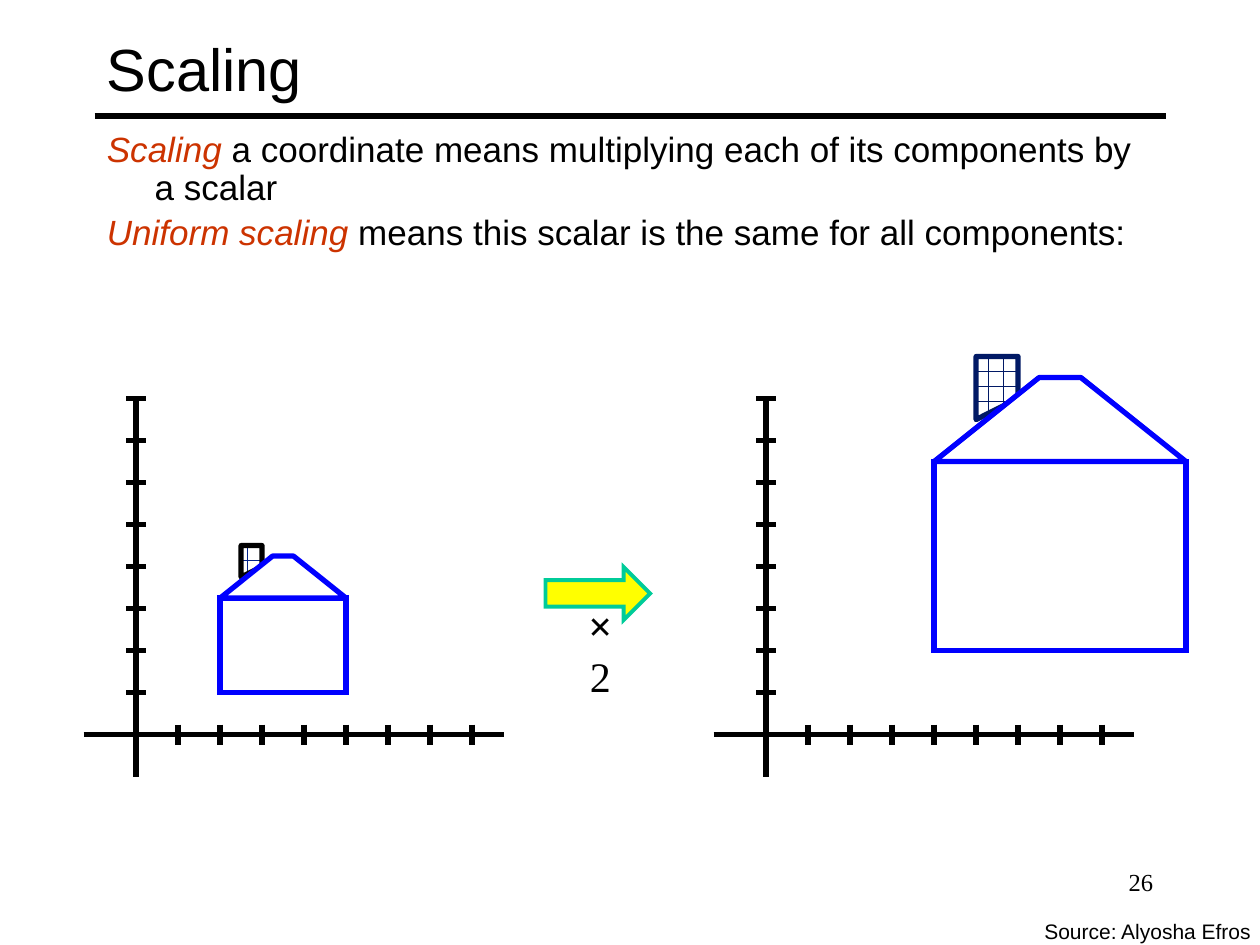
from lxml import etree
from pptx import Presentation
from pptx.dml.color import RGBColor
from pptx.enum import dml, shapes, text
from pptx.oxml.ns import qn
from pptx.util import Inches, Pt

BLACK = RGBColor(0x00, 0x00, 0x00)
WHITE = RGBColor(0xFF, 0xFF, 0xFF)
RED = RGBColor(0xCC, 0x33, 0x00)
BLUE = RGBColor(0x00, 0x00, 0xFF)
BRICK = RGBColor(0x03, 0x23, 0x89)
NAVY = RGBColor(0x01, 0x19, 0x65)
YELLOW = RGBColor(0xFF, 0xFF, 0x00)
GREEN = RGBColor(0x00, 0xCC, 0x99)

prs = Presentation()
prs.slide_width, prs.slide_height = Inches(10), Inches(7.5)
s = prs.slides.add_slide(prs.slide_layouts[6])


def add_line(x1, y1, x2, y2):
    c = s.shapes.add_connector(shapes.MSO_CONNECTOR.STRAIGHT, *map(Inches, (x1, y1, x2, y2)))
    c.line.color.rgb = BLACK
    c.line.width = Pt(3)
    etree.SubElement(c._element.spPr, qn("a:effectLst"))


def add_text(box, paragraphs, font, size, anchor=text.MSO_ANCHOR.TOP, align=text.PP_ALIGN.LEFT):
    tf = s.shapes.add_textbox(*map(Inches, box)).text_frame
    tf.word_wrap = True
    tf.vertical_anchor = anchor
    for i, runs in enumerate(paragraphs):
        p = tf.add_paragraph() if i else tf.paragraphs[0]
        for words in runs:
            p.add_run().text = words
        p.alignment = align
        p.font.name, p.font.size, p.font.color.rgb = font, Pt(size), BLACK
    return tf


add_line(0.75, 0.92, 9.25, 0.92)
add_text((0.75, 0.08, 8.5, 0.92), [["Scaling"]], "Arial", 34, text.MSO_ANCHOR.MIDDLE)

tf = add_text((0.75, 1, 8.5, 2.62), [
    ["Scaling", " a coordinate means multiplying each of its components by a scalar"],
    ["Uniform scaling", " means this scalar is the same for all components:"],
], "Arial", 20)
for i, p in enumerate(tf.paragraphs):
    pPr = p._p.get_or_add_pPr()
    pPr.set("marL", str(Inches(0.38)))
    pPr.set("indent", str(Inches(-0.38)))
    p.line_spacing = 0.9
    p.space_before = Pt(4 * i)
    p.runs[0].font.italic = True
    p.runs[0].font.color.rgb = RED

unit = 1 / 3
base = 5.83
chimney = [(2.5, 3.75), (2.5, 4.5), (3, 4.5), (3, 4)]
walls = [(2, 1), (2, 3.25), (5, 3.25), (5, 1)]
roof = [(2, 3.25), (3.25, 4.25), (3.75, 4.25), (5, 3.25)]
sharp = []

for left, scale, brick, edge in ((1.08, 1, BRICK, BLACK), (6.08, 2, NAVY, NAVY)):
    add_line(left, base - 8 * unit, left, base + unit)
    add_line(left - 1.25 * unit, base, left + 8.75 * unit, base)
    for n in range(1, 9):
        x, y = left + n * unit, base - n * unit
        add_line(x, base - 0.08, x, base + 0.08)
        add_line(left - 0.08, y, left + 0.08, y)

    for part, color in ((chimney, edge), (walls, BLUE), (roof, BLUE)):
        pts = [(Inches(left + x * scale * unit), Inches(base - y * scale * unit)) for x, y in part]
        if part is walls:
            (x1, y1), (x2, y2) = pts[1], pts[3]
            sp = s.shapes.add_shape(shapes.MSO_SHAPE.RECTANGLE, x1, y1, x2 - x1, y2 - y1)
            sharp.append(sp)
        else:
            builder = s.shapes.build_freeform(*pts[0])
            builder.add_line_segments(pts[1:], close=True)
            sp = builder.convert_to_shape()
        sp.shadow.inherit = False
        if part is chimney:
            sp.fill.patterned()
            sp.fill.pattern = dml.MSO_PATTERN.HORIZONTAL_BRICK
            sp.fill.fore_color.rgb = brick
            sp.fill.back_color.rgb = WHITE
        else:
            sp.fill.solid()
            sp.fill.fore_color.rgb = WHITE
        sp.line.color.rgb = color
        sp.line.width = Pt(3)

sp = s.shapes.add_shape(shapes.MSO_SHAPE.RIGHT_ARROW, *map(Inches, (4.33, 4.5, 0.83, 0.42)))
sp.shadow.inherit = False
sp.fill.solid()
sp.fill.fore_color.rgb = YELLOW
sp.line.color.rgb = GREEN
sp.line.width = Pt(2.25)
sharp.append(sp)

for sp in sharp:
    etree.SubElement(sp.line._get_or_add_ln(), qn("a:miter"), lim="800000")

tf = add_text((4.45, 4.91, 0.63, 0.5), [["× ", "2"]], "Times New Roman", 24,
              text.MSO_ANCHOR.MIDDLE, text.PP_ALIGN.CENTER)
tf.paragraphs[0].runs[0].font.bold = True

tf = add_text((8.19, 7.2, 1.81, 0.3), [["Source: Alyosha Efros"]], "Arial", 12)
tf.margin_top = Inches(0.09)
tf.margin_right = tf.margin_bottom = 0
add_text((7.17, 6.83, 2.08, 0.5), [["26"]], "Times New Roman", 14, align=text.PP_ALIGN.RIGHT)

prs.save("out.pptx")
